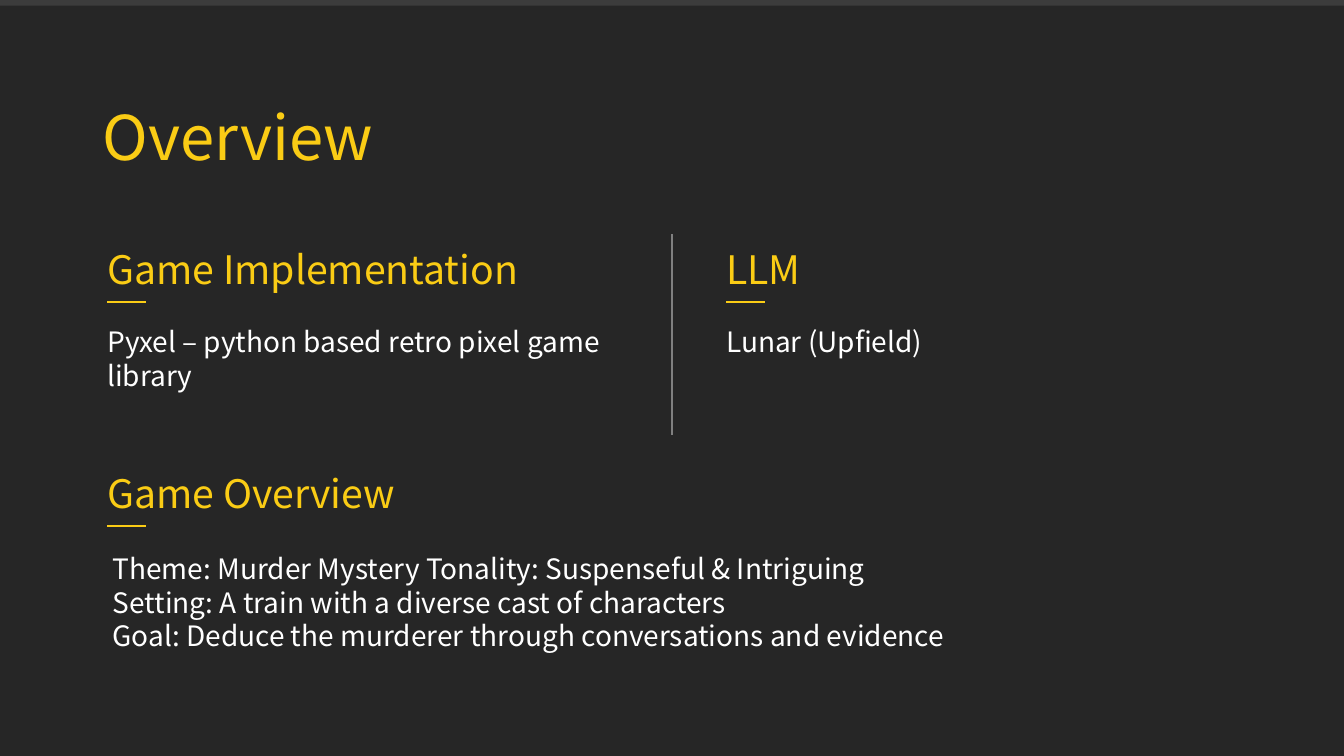
import pptx
import pptx.util
import pptx.dml.color
import pptx.enum.shapes
import pptx.enum.text
import pptx.oxml.ns
from lxml import etree

Pt = pptx.util.Pt
Anchor = pptx.enum.text.MSO_ANCHOR

COLORS = {
    "background": "262626",
    "strip": "3C3C3C",
    "accent": "FACC15",
    "divider": "808080",
    "body": "FFFFFF",
}

# Each format holds font size, line spacing and colour
FORMATS = {
    "title": {"size": 44, "spacing": 53, "color": "accent"},
    "heading": {"size": 28, "spacing": 36, "color": "accent"},
    "body": {"size": 20, "spacing": 24, "color": "body"},
}


class SlideBuilder:
    font_name = "Noto Sans CJK KR"

    def __init__(self, slide):
        self.slide = slide

    def color(self, name):
        return pptx.dml.color.RGBColor.from_string(COLORS[name])

    def background(self, color):
        fill = self.slide.background.fill
        fill.solid()
        fill.fore_color.rgb = self.color(color)

    def rectangle(self, left, top, width, height, color):
        shape = self.slide.shapes.add_shape(
            pptx.enum.shapes.MSO_SHAPE.RECTANGLE,
            Pt(left), Pt(top), Pt(width), Pt(height))
        shape.shadow.inherit = False
        shape.fill.solid()
        shape.fill.fore_color.rgb = self.color(color)
        shape.line.fill.background()

    def line(self, left, top, right, bottom, color):
        connector = self.slide.shapes.add_connector(
            pptx.enum.shapes.MSO_CONNECTOR.STRAIGHT,
            Pt(left), Pt(top), Pt(right), Pt(bottom))
        connector.line.width = Pt(1.5)
        connector.line.color.rgb = self.color(color)
        properties = connector._element.spPr
        etree.SubElement(properties, pptx.oxml.ns.qn("a:effectLst"))

    def text(self, left, top, width, height, paragraphs, anchor=Anchor.MIDDLE):
        """Each paragraph is (text, format name, space before)."""
        box = self.slide.shapes.add_textbox(Pt(left), Pt(top), Pt(width), Pt(height))
        frame = box.text_frame
        frame.word_wrap = True
        frame.vertical_anchor = anchor
        for index, (words, format_name, space_before) in enumerate(paragraphs):
            style = FORMATS[format_name]
            paragraph = frame.add_paragraph() if index else frame.paragraphs[0]
            run = paragraph.add_run()
            run.text = words
            settings = {
                paragraph: {"line_spacing": Pt(style["spacing"]),
                            "space_before": Pt(space_before)},
                run.font: {"name": self.font_name, "size": Pt(style["size"])},
            }
            for target, values in settings.items():
                for attribute, value in values.items():
                    setattr(target, attribute, value)
            run.font.color.rgb = self.color(style["color"])

    def section(self, left, top, width, heading, body=None):
        paragraphs = [(heading, "heading", 0)]
        if body:
            paragraphs.append((body, "body", 23))
        self.text(left, top, width, 112, paragraphs, Anchor.TOP)
        self.line(left + 7, top + 46.8, left + 35, top + 46.8, "accent")


def main():
    presentation = pptx.Presentation()
    presentation.slide_width = Pt(960)
    presentation.slide_height = Pt(540)
    slide = presentation.slides.add_slide(presentation.slide_layouts[6])
    builder = SlideBuilder(slide)

    # Backdrop and title
    builder.background("background")
    builder.rectangle(0, 0, 960, 4, "strip")
    builder.text(66.5, 44.6, 828, 104.4, [("Overview", "title", 0)])

    # Two columns with a divider
    builder.line(480, 167, 480, 311, "divider")
    builder.section(69.6, 169.2, 374, "Game Implementation",
                    "Pyxel – python based retro pixel game library")
    builder.section(511.6, 169.2, 343, "LLM", "Lunar (Upfield)")

    # Game overview
    builder.section(69.6, 329, 383, "Game Overview")
    builder.text(73.4, 374, 609, 112, [
        ("Theme: Murder Mystery Tonality: Suspenseful & Intriguing "
         "Setting: A train with a diverse cast of characters", "body", 0),
        ("Goal: Deduce the murderer through conversations and evidence", "body", 0),
    ])

    presentation.save("out.pptx")


if __name__ == "__main__":
    main()
